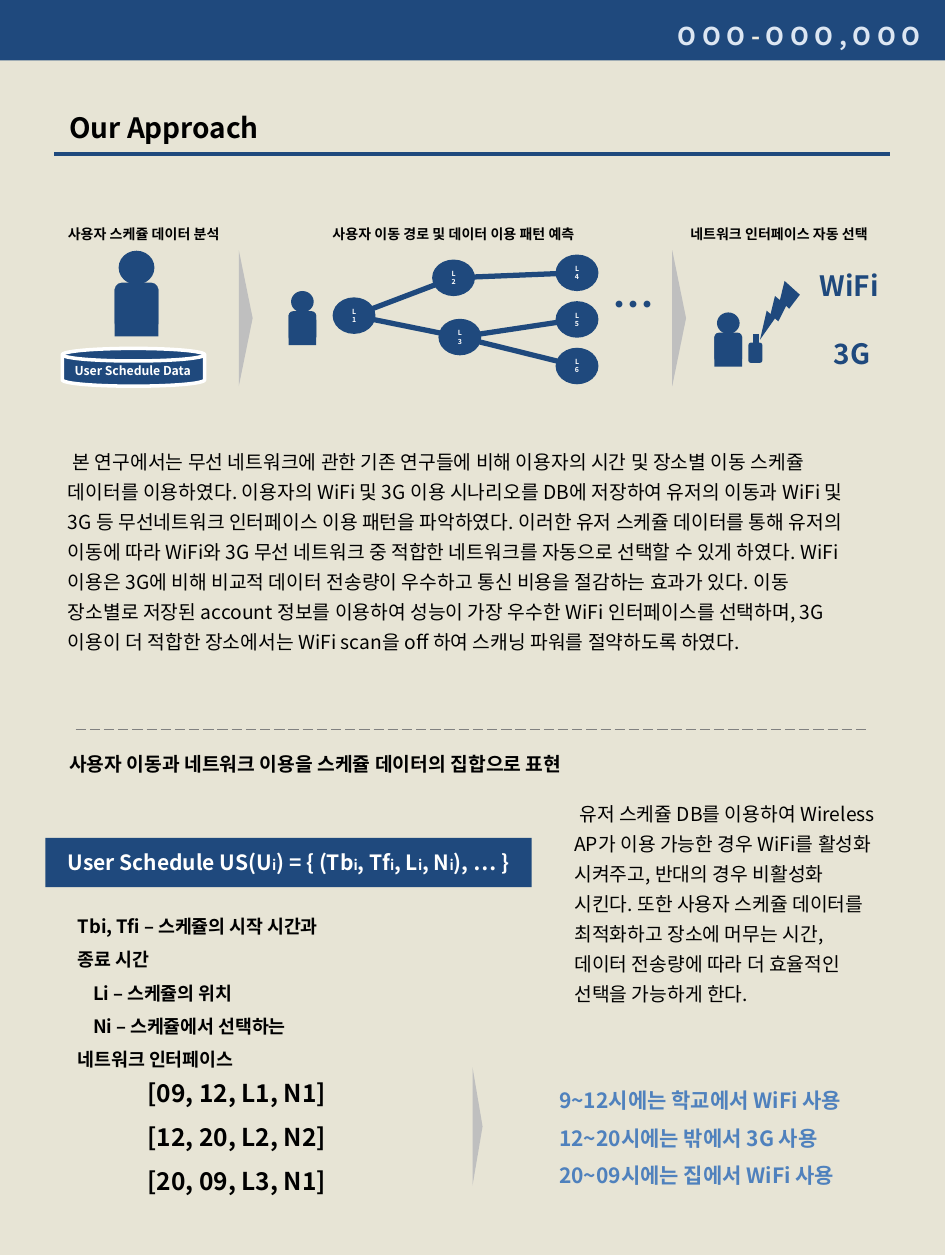
from lxml.etree import SubElement
from pptx import Presentation
from pptx.dml.color import RGBColor
from pptx.enum.dml import MSO_LINE
from pptx.enum.shapes import MSO_CONNECTOR, MSO_SHAPE
from pptx.enum.text import MSO_ANCHOR, MSO_AUTO_SIZE, PP_ALIGN
from pptx.oxml.ns import qn
from pptx.util import Inches, Pt

FONT = "Noto Sans CJK KR"
NAVY, GREY, WHITE, BLACK = "1F497D", "BFBFBF", "FFFFFF", "000000"
color = RGBColor.from_string

deck = Presentation()
deck.slide_width, deck.slide_height = Inches(7.5), Inches(10)
slide = deck.slides.add_slide(deck.slide_layouts[1])
shapes = slide.shapes


def draw(kind, x, y, w, h, fill=NAVY, turn=0):
    shape = shapes.add_shape(kind, Inches(x), Inches(y), Inches(w), Inches(h))
    shape.rotation = turn
    shape.shadow.inherit = False
    shape.fill.solid()
    shape.fill.fore_color.rgb = color(fill)
    shape.line.fill.background()
    return shape


def write(box, lines, size, ink=BLACK, bold=True, gap=1.0, align=PP_ALIGN.LEFT,
          indent=0):
    """Fill a box; each line is a string or a list of (text, size, colour) runs."""
    frame = box.text_frame
    frame.word_wrap = True
    for i, line in enumerate(lines):
        para = frame.paragraphs[0] if i == 0 else frame.add_paragraph()
        props = para._p.get_or_add_pPr()
        first = indent[i] if isinstance(indent, list) else indent
        props.set("marL", "0")
        props.set("indent", str(Inches(first)))
        SubElement(props, qn("a:buNone"))
        para.alignment = align
        para.line_spacing = gap
        para.space_before = Pt(0)
        font = para.font
        font.size, font.bold, font.name = Pt(size), bold, FONT
        font.color.rgb = color(ink)
        SubElement(font._rPr, qn("a:ea"), typeface=FONT)
        for text, pts, tint in [(line, size, ink)] if isinstance(line, str) else line:
            run = para.add_run()
            run.text = text
            if pts != size:
                run.font.size = Pt(pts)
            if tint != ink:
                run.font.color.rgb = color(tint)


# Paper, behind the placeholders
paper = draw(MSO_SHAPE.RECTANGLE, 0, -0.04, 7.5, 10, "E7E4D5")
shapes.title._element.addprevious(paper._element)

# Title and schedule list, whose items are set apart by an en space
title, body = shapes.title, slide.placeholders[1]
for holder, (x, y, w, h) in ((title, (0.45, 0.83, 5.18, 0.37)),
                             (body, (1.07, 8.39, 2.68, 1.12))):
    holder.left, holder.top = Inches(x), Inches(y)
    holder.width, holder.height = Inches(w), Inches(h)
    holder.text_frame.auto_size = MSO_AUTO_SIZE.NONE
    holder.text_frame.vertical_anchor = MSO_ANCHOR.TOP
write(title, ["Our Approach"], 16)
write(body, ["[09, 12, L1, N1]", "[12, 20, L2, N2]", "[20, 09, L3, N1]"], 14, gap=1.5)

# Lines, with the route between places
places = {"L1": (2.64, 2.36), "L2": (3.43, 2.06), "L3": (3.48, 2.53),
          "L4": (4.41, 2.02), "L5": (4.41, 2.39), "L6": (4.41, 2.76)}
wide, high = 0.34, 0.29
lines = [(0.43, 1.22, 7.06, 1.22, NAVY, 2.25),
         (0.6, 5.79, 6.9, 5.79, "808080", 0.75),
         (6, 2.65, 6, 2.86, NAVY, 3)]
for a, b in ("L1", "L2"), ("L3", "L5"), ("L2", "L4"), ("L1", "L3"), ("L3", "L6"):
    (ax, ay), (bx, by) = places[a], places[b]
    lines.append((ax + wide / 2, ay + high / 2, bx + wide / 2, by + high / 2, NAVY, 3))
for ax, ay, bx, by, ink, pts in lines:
    link = shapes.add_connector(MSO_CONNECTOR.STRAIGHT, Inches(ax), Inches(ay),
                                Inches(bx), Inches(by))
    link.line.color.rgb = color(ink)
    link.line.width = Pt(pts)
    if pts < 1:
        link.line.dash_style = MSO_LINE.LONG_DASH
    SubElement(link._element.spPr, qn("a:effectLst"))

for name, (x, y) in places.items():
    node = draw(MSO_SHAPE.OVAL, x, y, wide, high)
    write(node, [name], 4, WHITE, align=PP_ALIGN.CENTER)

# People, phone, arrows
for x, y, k in (0.91, 1.99, 1.58), (2.29, 2.31, 1), (5.67, 2.48, 1):
    draw(MSO_SHAPE.OVAL, x + 0.02 * k, y, 0.18 * k, 0.17 * k)
    draw(MSO_SHAPE.ROUNDED_RECTANGLE, x, y + 0.16 * k, 0.22 * k, 0.24 * k)
    draw(MSO_SHAPE.RECTANGLE, x, y + 0.19 * k, 0.22 * k, 0.24 * k)
draw(MSO_SHAPE.ROUNDED_RECTANGLE, 5.94, 2.72, 0.11, 0.16)
draw(MSO_SHAPE.LIGHTNING_BOLT, 5.98, 2.24, 0.37, 0.42, turn=69.7)
for x, y, w, h in (1.41, 2.47, 1.08, 0.11), (4.85, 2.47, 1.08, 0.11), (3.32, 8.9, 0.94, 0.08):
    draw(MSO_SHAPE.ISOSCELES_TRIANGLE, x, y, w, h, GREY, 90)

drum = draw(MSO_SHAPE.FLOWCHART_DIRECT_ACCESS_STORAGE, 0.91, 2.35, 0.3, 1.13, turn=270)
drum.line.color.rgb = color(WHITE)
drum.line.width = Pt(2)
drum.text_frame._txBody.bodyPr.set("vert", "eaVert")
write(drum, ["User Schedule Data"], 7, WHITE, align=PP_ALIGN.CENTER)

# Bands
draw(MSO_SHAPE.RECTANGLE, 0, -0.04, 7.5, 0.52)
band = draw(MSO_SHAPE.RECTANGLE, 0.36, 6.65, 3.86, 0.39)
parts = ["User Schedule US(U", ") = { (Tb", ", Tf", ", L", ", N", "), … }"]
formula = [(parts[0], 12, WHITE)]
for part in parts[1:]:
    formula += [("i", 8, WHITE), (part, 12, WHITE)]
write(band, [formula], 12, WHITE, align=PP_ALIGN.CENTER)

# Text
pale = "DCE6F2"
head = [("O O O", 14, pale), (" - ", 14, "EEECE1"), ("O O O , O O O ", 14, pale)]
about = (
    "본 연구에서는 무선 네트워크에 관한 기존 연구들에 비해 이용자의 시간 및 장소별 이동 스케쥴 "
    "데이터를 이용하였다. 이용자의 WiFi 및 3G 이용 시나리오를 DB에 저장하여 유저의 이동과 "
    "WiFi 및 3G 등 무선네트워크 인터페이스 이용 패턴을 파악하였다. 이러한 유저 스케쥴 데이터를 "
    "통해 유저의 이동에 따라 WiFi와 3G 무선 네트워크 중 적합한 네트워크를 자동으로 선택할 수 있게 "
    "하였다. WiFi 이용은 3G에 비해 비교적 데이터 전송량이 우수하고 통신 비용을 절감하는 효과가 "
    "있다. 이동 장소별로 저장된 account 정보를 이용하여 성능이 가장 우수한 WiFi 인터페이스를 "
    "선택하며, 3G 이용이 더 적합한 장소에서는 WiFi scan을 off 하여 스캐닝 파워를 절약하도록 "
    "하였다.")
effect = (
    "유저 스케쥴 DB를 이용하여 Wireless AP가 이용 가능한 경우 WiFi를 활성화 시켜주고, 반대의 "
    "경우 비활성화 시킨다. 또한 사용자 스케쥴 데이터를 최적화하고 장소에 머무는 시간, "
    "데이터 전송량에 따라 더 효율적인 선택을 가능하게 한다.")
terms = ["Tbi, Tfi – 스케쥴의 시작 시간과 종료 시간", "Li – 스케쥴의 위치",
         "Ni – 스케쥴에서 선택하는 네트워크 인터페이스"]
usage = ["9~12시에는 학교에서 WiFi 사용", "12~20시에는 밖에서 3G 사용",
         "20~09시에는 집에서 WiFi 사용"]
plain = {"bold": False, "gap": 1.3, "indent": 0.04}
for x, y, w, h, text, size, style in (
    (4.54, 0.12, 2.91, 0.34, [head], 14, {"ink": pale, "align": PP_ALIGN.RIGHT}),
    (0.44, 1.74, 1.56, 0.24, ["사용자 스케쥴 데이터 분석"], 8, {}),
    (2.54, 1.74, 2.39, 0.24, ["사용자 이동 경로 및 데이터 이용 패턴 예측"], 8, {}),
    (5.38, 1.74, 1.78, 0.24, ["네트워크 인터페이스 자동 선택"], 8, {}),
    (4.76, 2.16, 1.77, 0.5, ["…"], 24, {"ink": NAVY}),
    (6.41, 2.08, 0.7, 0.37, ["WiFi"], 16, {"ink": NAVY}),
    (6.52, 2.62, 0.52, 0.37, ["3G"], 16, {"ink": NAVY}),
    (0.44, 3.47, 6.45, 2, [about], 11, plain),
    (0.45, 5.92, 4.65, 0.29, ["사용자 이동과 네트워크 이용을 스케쥴 데이터의 집합으로 표현"], 11, {}),
    (0.52, 7.13, 2.27, 0.71, terms, 10.5,
     {"gap": 1.5, "indent": [0, 0.12, 0.12]}),
    (4.46, 6.26, 2.6, 2.03, [effect], 11, plain),
    (4.34, 8.48, 2.72, 1.01, usage, 12, {"ink": "4F81BD", "gap": 1.5}),
):
    box = shapes.add_textbox(Inches(x), Inches(y), Inches(w), Inches(h))
    write(box, text, size, **style)

deck.save("out.pptx")
